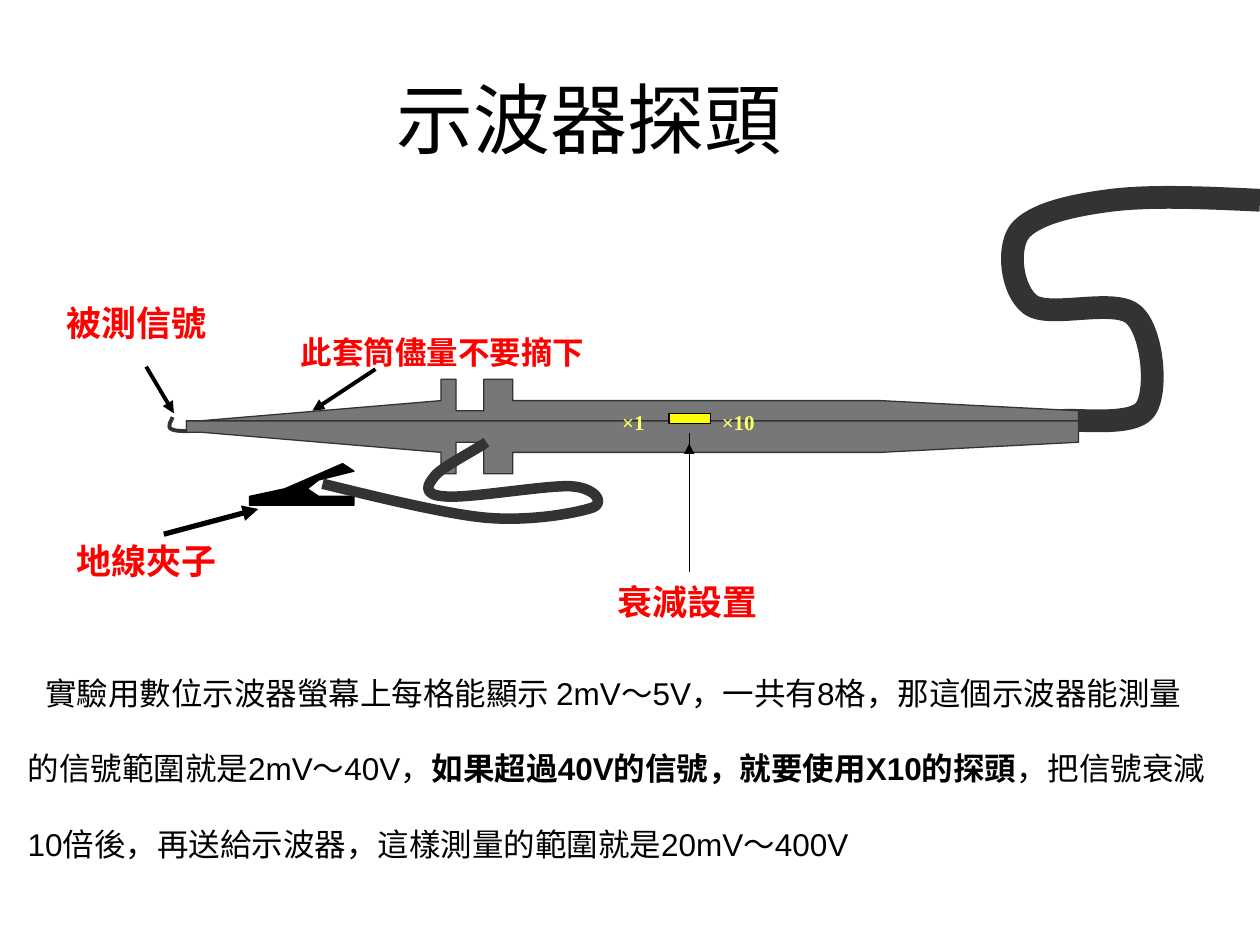
from dataclasses import dataclass

from lxml import etree
from pptx import Presentation
from pptx.dml.color import RGBColor
from pptx.enum.shapes import MSO_CONNECTOR, MSO_SHAPE
from pptx.enum.text import MSO_ANCHOR, MSO_AUTO_SIZE, PP_ALIGN
from pptx.oxml.ns import qn
from pptx.util import Inches, Pt

STRAIGHT = MSO_CONNECTOR.STRAIGHT
RECT = MSO_SHAPE.RECTANGLE
TOP = MSO_ANCHOR.TOP
CENTER = PP_ALIGN.CENTER
FIT = MSO_AUTO_SIZE.SHAPE_TO_FIT_TEXT
NO_FIT = MSO_AUTO_SIZE.NONE


@dataclass(frozen=True)
class Theme:
    """Colours, fonts and type sizes of the slide."""
    black: str = "000000"
    cable: str = "333333"
    probe: str = "777777"
    red: str = "FF0000"
    switch: str = "FFFF00"
    mark: str = "FFFF66"
    sans: str = "Arial"
    serif: str = "Times New Roman"
    title: int = 44
    label: int = 20
    body: int = 18
    small: int = 12


T = Theme()

HOOK = [(1.7, 3.41), (1.56, 3.42), (1.42, 3.43), (1.37, 3.41),
        (1.31, 3.39), (1.37, 3.33), (1.37, 3.31)]
CABLE = [(8.41, 3.34), (8.53, 3.32), (8.99, 3.39), (9.09, 3.25),
         (9.19, 3.11), (9.15, 2.64), (9, 2.5), (8.85, 2.36), (8.33, 2.53),
         (8.18, 2.42), (8.03, 2.31), (7.99, 1.98), (8.09, 1.84),
         (8.2, 1.7), (8.5, 1.63), (8.82, 1.59),
         (9.14, 1.55), (9.57, 1.57), (10, 1.59)]
GROUND_WIRE = [(2.56, 3.84), (2.77, 3.89), (3.51, 4.08), (3.86, 4.11),
               (4.22, 4.14), (4.58, 4.07), (4.7, 4.03),
               (4.81, 3.99), (4.72, 3.87), (4.53, 3.86),
               (4.33, 3.85), (3.71, 3.96), (3.53, 3.94),
               (3.35, 3.93), (3.39, 3.85), (3.45, 3.78),
               (3.5, 3.71), (3.78, 3.57), (3.86, 3.51)]
PROBE_TOP = [(1.59, 3.34), (3.5, 3.18), (3.5, 3.01), (3.62, 3.01),
             (3.62, 3.26), (3.84, 3.26), (3.84, 3.01), (4.07, 3.01),
             (4.07, 3.18), (6.99, 3.18), (8.56, 3.26), (8.56, 3.43),
             (1.48, 3.43), (1.48, 3.34)]
PROBE_AXIS = 3.385
CLIP = [(1.98, 4.01), (2.81, 4.01), (2.81, 3.94), (2.53, 3.94), (2.44, 3.88),
        (2.53, 3.81), (2.81, 3.74), (2.72, 3.68), (2.26, 3.88), (1.98, 3.94)]

ARROWS = [((1.3, 4.24), (2.05, 4.04), 3), ((1.16, 2.91), (1.38, 3.28), 2.25),
          ((2.98, 2.93), (2.48, 3.26), 2.25), ((5.47, 3.67), (5.47, 3.52), 0.75)]
LABELS = [("被測信號", (0.43, 2.34, 1.67, 0.44), T.label, T.red),
          ("地線夾子", (0.51, 4.23, 1.33, 0.44), T.label, T.red),
          ("此套筒儘量不要摘下", (2.29, 2.59, 3.18, 0.4), T.body, T.red),
          ("衰減設置", (4.8, 4.56, 1.34, 0.44), T.label, T.red),
          ("×1", (4.84, 3.2, 0.54, 0.3), T.small, T.mark),
          ("×10", (5.63, 3.2, 0.58, 0.3), T.small, T.mark)]
BODY = [[("實驗用數位示波器螢幕上每格能顯示 2mV～5V，一共有8格，那這個示波器能測量", False)],
        [("的信號範圍就是2mV～40V，", False),
         ("如果超過40V的信號，就要使用X10的探頭", True),
         ("，把信號衰減", False)],
        [("10倍後，再送給示波器，這樣測量的範圍就是20mV～400V", False)]]


def set_all(obj, values):
    """Set each attribute of obj from a dict."""
    for name, value in values.items():
        setattr(obj, name, value)


def set_font(font, name, size, color, bold=False):
    """Format a font."""
    set_all(font, {"name": name, "size": Pt(size), "bold": bold})
    font.color.rgb = RGBColor.from_string(color)


def set_line(line, color, width):
    """Give an outline its colour and width."""
    line.color.rgb = RGBColor.from_string(color)
    line.width = Pt(width)


def set_fill(sp, color):
    """Fill a shape with one colour."""
    sp.fill.solid()
    sp.fill.fore_color.rgb = RGBColor.from_string(color)


def add_path(s, points, color, width, close):
    """Add a freeform through the points."""
    start, *rest = [(Inches(x), Inches(y)) for x, y in points]
    builder = s.shapes.build_freeform(*start, scale=1.0)
    builder.add_line_segments(rest, close=close)
    sp = builder.convert_to_shape()
    sp.shadow.inherit = False
    set_line(sp.line, color, width)
    return sp


def add_polygon(s, points, fill, line):
    """Add a closed, filled outline."""
    set_fill(add_path(s, points, line, 0.75, True), fill)


def add_curve(s, points, width):
    """Add an open curve from a start point and Bezier triples."""
    sp = add_path(s, points, T.cable, width, False)
    sp.fill.background()
    segments = list(sp.element.iter(qn("a:lnTo")))
    for i in range(0, len(segments), 3):
        curve = etree.Element(qn("a:cubicBezTo"))
        segments[i].addprevious(curve)
        for segment in segments[i:i + 3]:
            curve.append(segment[0])
            segment.getparent().remove(segment)


def add_line(s, start, end, width, arrow=False):
    """Add a straight black line, with an arrowhead on request."""
    ends = [Inches(v) for v in (*start, *end)]
    line = s.shapes.add_connector(STRAIGHT, *ends)
    set_line(line.line, T.black, width)
    props = line.element.spPr
    if arrow:
        etree.SubElement(props.find(qn("a:ln")), qn("a:tailEnd"), type="triangle")
    etree.SubElement(props, qn("a:effectLst"))


def add_text(s, box):
    """Add a wrapping text box and return its frame."""
    tf = s.shapes.add_textbox(*map(Inches, box)).text_frame
    set_all(tf, {"word_wrap": True, "auto_size": FIT})
    return tf


def add_label(s, text, box, size, color):
    """Add a bold one-line label."""
    p = add_text(s, box).paragraphs[0]
    r = p.add_run()
    r.text = text
    set_font(r.font, T.serif, size, color, True)


def add_body(s):
    """Add the explanation below the drawing."""
    tf = add_text(s, (0.12, 5.3, 9.61, 2.5))
    for i, runs in enumerate(BODY):
        p = tf.add_paragraph() if i else tf.paragraphs[0]
        if i:
            p.space_before = Pt(21.5)
        else:
            p._p.get_or_add_pPr().set("indent", str(Inches(0.14)))
        for text, bold in runs:
            r = p.add_run()
            r.text = text
            set_font(r.font, T.sans, T.body, T.black, bold)


def add_switch(s):
    """Add the yellow attenuation switch."""
    sp = s.shapes.add_shape(RECT, *map(Inches, (5.31, 3.28, 0.33, 0.08)))
    sp.shadow.inherit = False
    set_fill(sp, T.switch)
    set_line(sp.line, T.black, 0.75)


def set_title(s, text):
    """Place and format the slide title."""
    sp = s.shapes.title
    set_all(sp, {"left": Inches(3.05), "top": Inches(0.52),
                 "width": Inches(3.26), "height": Inches(1.57)})
    tf = sp.text_frame
    set_all(tf, {"text": text, "word_wrap": False, "vertical_anchor": TOP,
                 "auto_size": NO_FIT})
    p = tf.paragraphs[0]
    p.alignment = CENTER
    set_font(p.runs[0].font, T.sans, T.title, T.black)


def main():
    """Build and save the slide."""
    prs = Presentation()
    set_all(prs, {"slide_width": Inches(10), "slide_height": Inches(7.5)})
    s = prs.slides.add_slide(prs.slide_layouts[5])
    set_title(s, "示波器探頭")
    add_curve(s, HOOK, 2.25)
    add_curve(s, CABLE, 13)
    add_polygon(s, PROBE_TOP, T.probe, T.cable)
    add_polygon(s, [(x, 2 * PROBE_AXIS - y) for x, y in PROBE_TOP], T.probe, T.cable)
    add_polygon(s, CLIP, T.black, T.black)
    add_curve(s, GROUND_WIRE, 6)
    add_line(s, (5.47, 4.54), (5.47, 3.44), 0.75)
    for start, end, width in ARROWS:
        add_line(s, start, end, width, arrow=True)
    add_switch(s)
    for label in LABELS:
        add_label(s, *label)
    add_body(s)
    prs.save("out.pptx")


if __name__ == "__main__":
    main()
